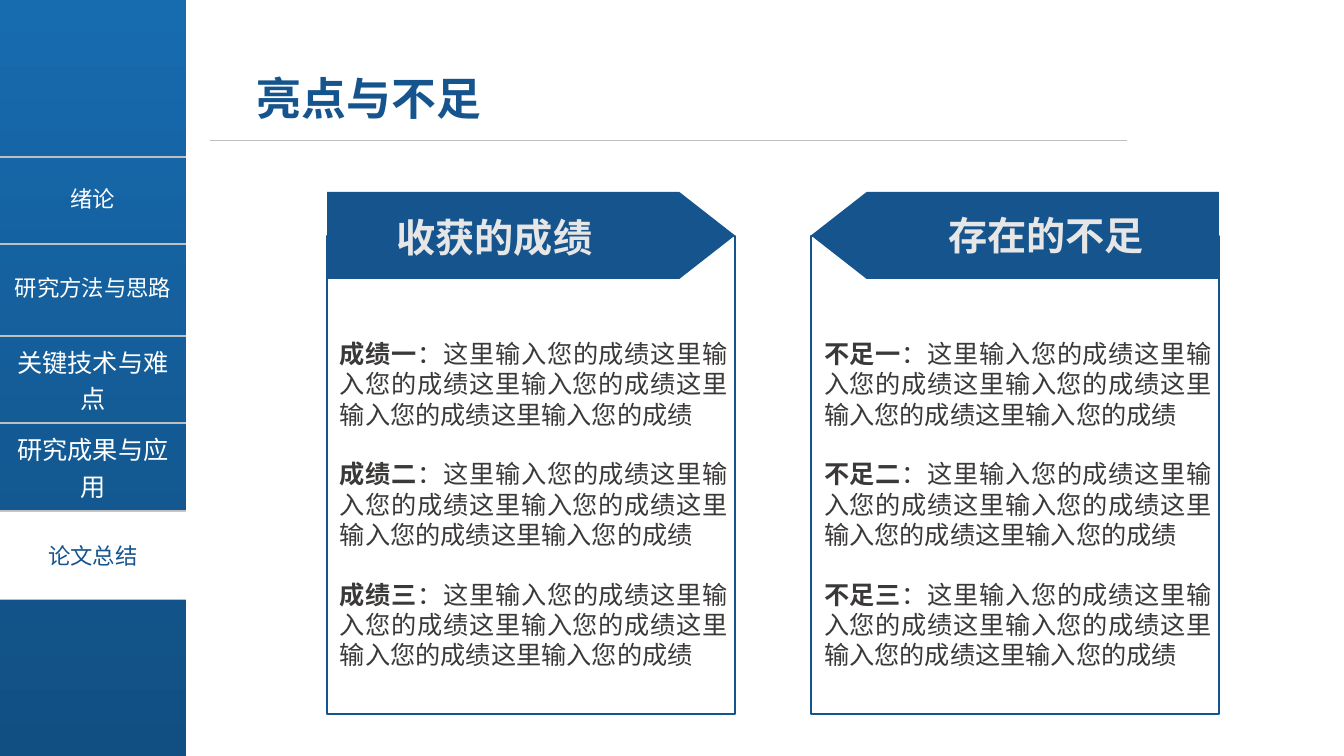
"""Build the thesis summary slide on highlights and shortcomings."""
from lxml import etree
from pptx import Presentation
from pptx.dml.color import RGBColor
from pptx.enum.shapes import MSO_CONNECTOR, MSO_SHAPE
from pptx.enum.text import MSO_ANCHOR, PP_ALIGN
from pptx.oxml.ns import qn
from pptx.util import Pt

PX = 914400 / 100.8
BLUE = RGBColor(0x15, 0x54, 0x8D)
GRAD_TOP = RGBColor(0x17, 0x6B, 0xAF)
GRAD_END = RGBColor(0x11, 0x4F, 0x82)
WHITE = RGBColor(0xFF, 0xFF, 0xFF)
PALE = RGBColor(0xE7, 0xE6, 0xE6)
GREY = RGBColor(0xBF, 0xBF, 0xBF)
DARK = RGBColor(0x3B, 0x38, 0x38)
CJK = "Noto Sans CJK SC"


def px(*values):
    return [round(v * PX) for v in values]


def write(tf, paragraphs, size, color, name=CJK, bold=False, align=PP_ALIGN.CENTER, inset=(10, 5), wrap=True):
    dx, dy = px(*inset)
    frame = {"margin_left": dx, "margin_right": dx, "margin_top": dy, "margin_bottom": dy,
             "word_wrap": wrap, "vertical_anchor": MSO_ANCHOR.MIDDLE}
    for key, value in frame.items():
        setattr(tf, key, value)
    for i, runs in enumerate(paragraphs):
        p = tf.add_paragraph() if i else tf.paragraphs[0]
        p.alignment = align
        if i:
            p.space_before = Pt(21)
        for j, text in enumerate(runs):
            r = p.add_run()
            r.text = text
            for key, value in {"size": Pt(size), "name": name, "bold": bold and j == 0}.items():
                setattr(r.font, key, value)
            r.font.color.rgb = color
            etree.SubElement(r.font._element, qn("a:ea"), typeface=name)


prs = Presentation()
prs.slide_width, prs.slide_height = px(1344, 756)
s = prs.slides.add_slide(prs.slide_layouts[6])

title = s.shapes.add_textbox(*px(257, 71, 402, 54))
write(title.text_frame, [["亮点与不足"]], 32, BLUE, bold=True, align=PP_ALIGN.LEFT, inset=(0, 0))

rule = s.shapes.add_connector(MSO_CONNECTOR.STRAIGHT, *px(210, 140, 1127, 140))
rule.line.color.rgb = GREY
rule.line.width = Pt(0.5)
etree.SubElement(rule._element.spPr, qn("a:effectLst"))

panels = [
    (327, False, "收获的成绩", (385, 208, 219, 57), "成绩"),
    (811, True, "存在的不足", (910, 206, 272, 57), "不足"),
]
for x, flipped, heading, heading_box, label in panels:
    frame = s.shapes.add_shape(MSO_SHAPE.RECTANGLE, *px(x, 236, 408, 478))
    frame.shadow.inherit = False
    frame.fill.solid()
    frame.fill.fore_color.rgb = WHITE
    frame.line.color.rgb = BLUE
    frame.line.width = Pt(1)

    banner = s.shapes.add_shape(MSO_SHAPE.PENTAGON, *px(x, 192, 408, 87))
    banner.shadow.inherit = False
    banner.adjustments[0] = 0.64
    banner.fill.solid()
    banner.fill.fore_color.rgb = BLUE
    banner.line.fill.background()
    if flipped:
        banner._element.spPr.xfrm.set("flipH", "1")

    box = s.shapes.add_textbox(*px(*heading_box))
    write(box.text_frame, [[heading]], 28, PALE, bold=True, wrap=False)

    body = s.shapes.add_textbox(*px(x + 3, 331, 408, 346))
    items = [[label + n, "：" + "这里输入您的成绩" * 5] for n in "一二三"]
    write(body.text_frame, items, 18, DARK, name="Arial", bold=True, align=PP_ALIGN.JUSTIFY)

sidebar = s.shapes.add_shape(MSO_SHAPE.RECTANGLE, *px(0, 0, 186, 756))
sidebar.shadow.inherit = False
sidebar.line.fill.background()
sidebar.fill.gradient()
sidebar.fill.gradient_angle = 270
for stop, color, position in zip(sidebar.fill.gradient_stops, (GRAD_TOP, GRAD_END), (0, 1)):
    stop.color.rgb = color
    stop.position = position

row_heights = [87, 92, 87, 88, 88]
table = s.shapes.add_table(5, 1, *px(0, 157, 186, sum(row_heights))).table
table.first_row = table.horz_banding = False
table.columns[0].width = px(186)[0]
menu = ["", "", "关键技术与难点", "研究成果与应用", ""]
for i, (height, text) in enumerate(zip(row_heights, menu)):
    table.rows[i].height = px(height)[0]
    cell = table.cell(i, 0)
    cell.vertical_anchor = MSO_ANCHOR.MIDDLE
    if text:
        write(cell.text_frame, [[text]], 18, WHITE)
    tcPr = cell._tc.get_or_add_tcPr()
    for side in "LRTB":
        ln = etree.SubElement(tcPr, qn("a:ln" + side), w=str(Pt(1)))
        if side in "TB":
            fill = etree.SubElement(ln, qn("a:solidFill"))
            etree.SubElement(fill, qn("a:srgbClr"), val=str(GREY))
        else:
            etree.SubElement(ln, qn("a:noFill"))
    cell.fill.background()

for y, text in ((155, "绪论"), (244, "研究方法与思路")):
    tab = s.shapes.add_textbox(*px(0, y, 186, 87))
    write(tab.text_frame, [[text]], 16, WHITE)

current = s.shapes.add_shape(MSO_SHAPE.RECTANGLE, *px(0, 512, 186, 87))
current.shadow.inherit = False
current.fill.solid()
current.fill.fore_color.rgb = WHITE
current.line.fill.background()
write(current.text_frame, [["论文总结"]], 16, BLUE)

prs.save("out.pptx")
